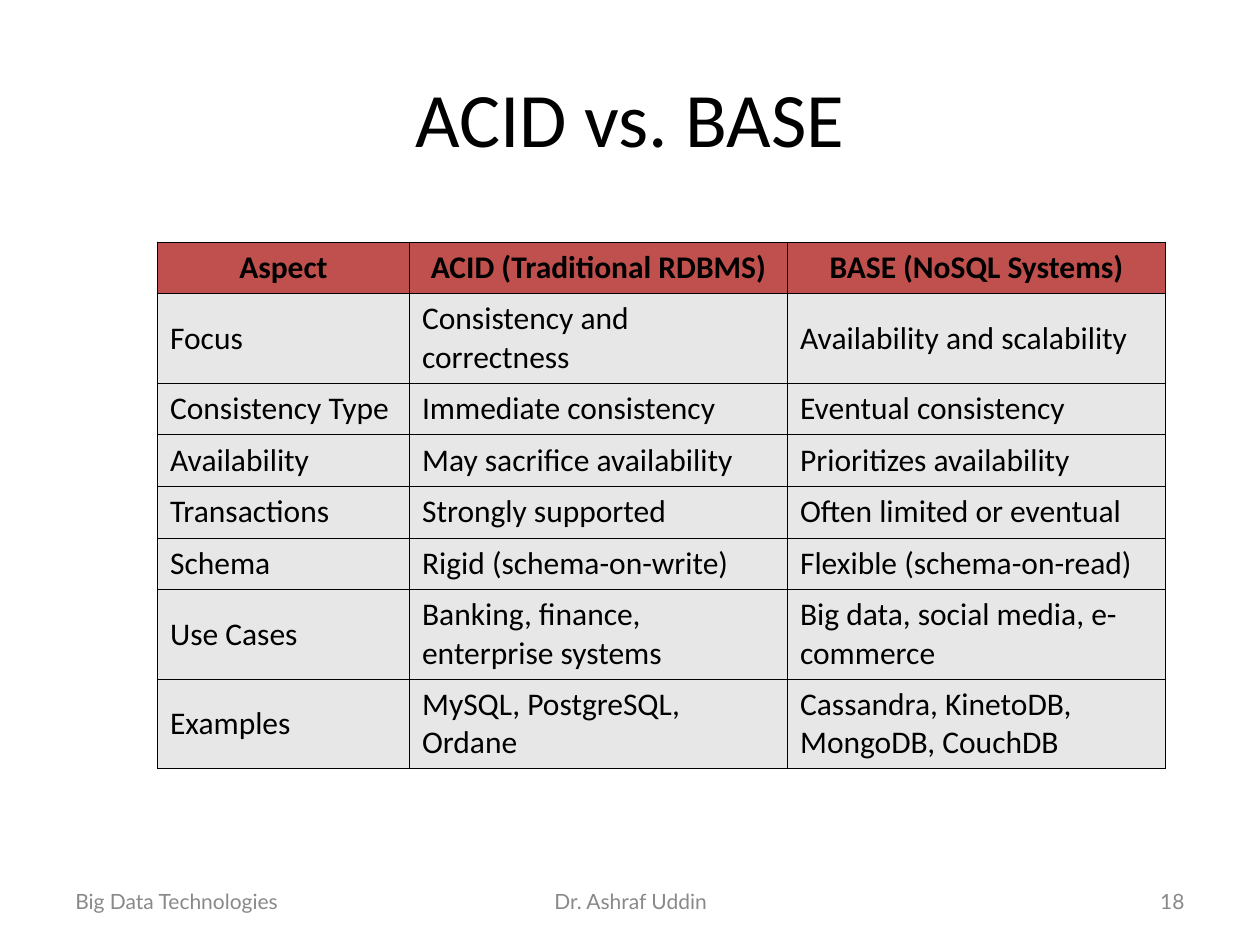
from lxml.etree import SubElement
from pptx import Presentation
from pptx.dml.color import RGBColor
from pptx.enum.text import MSO_ANCHOR as ANCHOR, PP_ALIGN as ALIGN
from pptx.oxml.ns import qn
from pptx.util import Inches, Pt

ROWS = [
    ("Aspect", "ACID (Traditional RDBMS)", "BASE (NoSQL Systems)"),
    ("Focus", "Consistency and correctness", "Availability and scalability"),
    ("Consistency Type", "Immediate consistency", "Eventual consistency"),
    ("Availability", "May sacrifice availability", "Prioritizes availability"),
    ("Transactions", "Strongly supported", "Often limited or eventual"),
    ("Schema", "Rigid (schema-on-write)", "Flexible (schema-on-read)"),
    ("Use Cases", "Banking, finance, enterprise systems",
     "Big data, social media, e-commerce"),
    ("Examples", "MySQL, PostgreSQL, Ordane",
     "Cassandra, KinetoDB, MongoDB, CouchDB"),
]
COL_WIDTHS = (2, 3, 3)
ONE_LINE, TWO_LINES = 0.41, 0.71
ROW_HEIGHTS = [TWO_LINES if i in (1, 6, 7) else ONE_LINE
               for i in range(len(ROWS))]


def rgb(color):
    return RGBColor.from_string(color)


class SlideBuilder:
    FONT, FOOTER_FONT = "Calibri", "Lato"
    INK, MUTED = "000000", "898989"
    HEADER_FILL, BODY_FILL = "C0504D", "E7E7E7"
    BORDER = Pt(0.45)

    def __init__(self, prs):
        self.slide = prs.slides.add_slide(prs.slide_layouts[5])

    def set_text(self, tf, text, size, align, font=FONT, color=INK, bold=False):
        p = tf.paragraphs[0]
        p.text = text
        p.alignment = align
        p.font.name = font
        p.font.size = Pt(size)
        p.font.bold = bold
        p.font.color.rgb = rgb(color)

    def place(self, sp, left, top, width, height):
        sp.left, sp.top = Inches(left), Inches(top)
        sp.width, sp.height = Inches(width), Inches(height)

    def title(self, text):
        sp = self.slide.shapes.title
        self.place(sp, 0.5, 0.3, 9, 1.25)
        sp.text_frame.vertical_anchor = ANCHOR.MIDDLE
        self.set_text(sp.text_frame, text, 44, ALIGN.CENTER)

    def footer(self, text, left, width, align):
        sp = self.slide.shapes.add_textbox(
            Inches(left), Inches(6.95), Inches(width), Inches(0.4))
        tf = sp.text_frame
        tf.word_wrap = True
        tf.vertical_anchor = ANCHOR.MIDDLE
        self.set_text(tf, text, 12, align, self.FOOTER_FONT, self.MUTED)

    def border(self, cell):
        """Draw a thin line on all four sides of the cell."""
        tcPr = cell._tc.get_or_add_tcPr()
        for i, side in enumerate(("a:lnL", "a:lnR", "a:lnT", "a:lnB")):
            ln = SubElement(tcPr, qn(side), w=str(self.BORDER))
            fill = SubElement(ln, qn("a:solidFill"))
            SubElement(fill, qn("a:srgbClr"), val=self.INK)
            tcPr.insert(i, ln)

    def table(self, left, top, rows, widths, heights):
        table = self.slide.shapes.add_table(
            len(rows), len(widths), Inches(left), Inches(top),
            Inches(sum(widths)), Inches(sum(heights))).table
        table.horz_banding = False
        for column, width in zip(table.columns, widths):
            column.width = Inches(width)
        for i, (row, height) in enumerate(zip(table.rows, heights)):
            row.height = Inches(height)
            header = i == 0
            for cell, text in zip(row.cells, rows[i]):
                cell.vertical_anchor = ANCHOR.MIDDLE
                cell.fill.solid()
                cell.fill.fore_color.rgb = rgb(
                    self.HEADER_FILL if header else self.BODY_FILL)
                self.border(cell)
                self.set_text(cell.text_frame, text, 18,
                              ALIGN.CENTER if header else ALIGN.LEFT,
                              bold=header)


def main():
    prs = Presentation()
    prs.slide_width, prs.slide_height = Inches(10), Inches(7.5)
    s = SlideBuilder(prs)
    s.title("ACID vs. BASE")
    s.footer("Dr. Ashraf Uddin", 3.42, 3.17, ALIGN.CENTER)
    s.footer("18", 7.17, 2.33, ALIGN.RIGHT)
    s.footer("Big Data Technologies", 0.5, 2.33, ALIGN.LEFT)
    s.table(1.25, 1.92, ROWS, COL_WIDTHS, ROW_HEIGHTS)
    prs.save("out.pptx")


if __name__ == "__main__":
    main()
